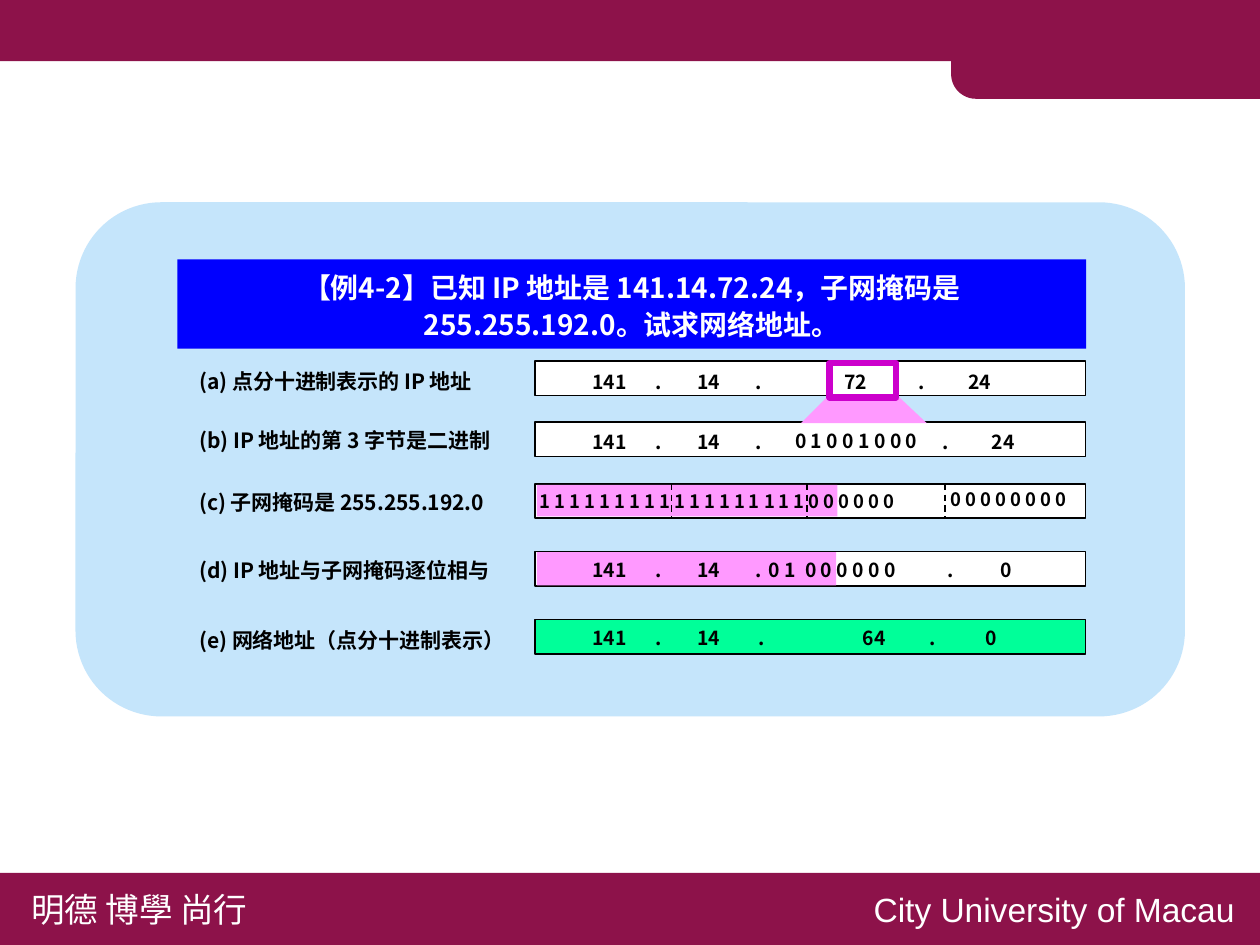
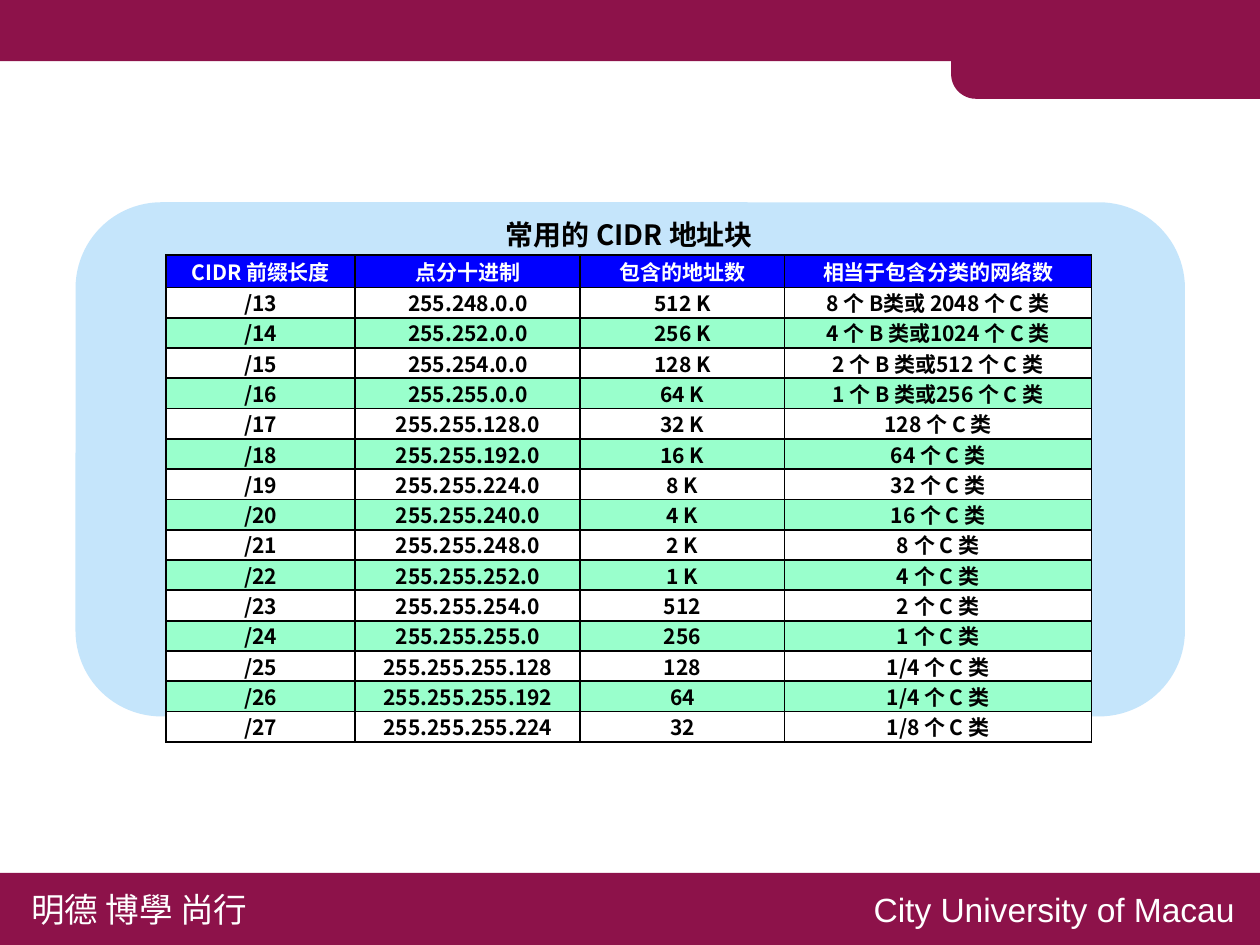
"""Build two slides on subnet masks and CIDR address blocks."""
from dataclasses import dataclass

from lxml.etree import SubElement
from pptx import Presentation
from pptx.dml.color import RGBColor
from pptx.enum.dml import MSO_LINE
from pptx.enum.shapes import MSO_CONNECTOR, MSO_SHAPE as SHAPE
from pptx.enum.text import MSO_ANCHOR as ANCHOR, MSO_AUTO_SIZE as AUTOSIZE, PP_ALIGN as ALIGN
from pptx.oxml.ns import qn
from pptx.util import Cm, Pt

COLORS = {
    "wine": "8D124A", "sky": "C5E5FB", "blue": "0000FF", "pink": "FF99FF",
    "green": "00FF99", "mint": "99FFCC", "violet": "CC00CC",
    "black": "000000", "white": "FFFFFF",
}
CJK = "Noto Sans CJK SC"
WIDTH, HEIGHT = 21.17, 15.88
BAR_X, BAR_W, BAR_H = 8.99, 9.25, 0.58
LABEL_X = 3.15
DOTS = (1.12, 1.96, 2.79)


@dataclass(frozen=True)
class Style:
    size: float
    color: str = "black"
    bold: bool = True
    font: str = CJK


@dataclass(frozen=True)
class Block:
    x: float
    y: float
    w: float
    h: float
    fill: str | None = None
    line: str | None = None
    weight: float = 0.75
    preset: SHAPE = SHAPE.RECTANGLE


@dataclass(frozen=True)
class Label:
    x: float
    y: float
    w: float
    text: str
    style: Style
    stops: tuple[float, ...] = ()
    inset: float = 0.2
    h: float = 0.64


LABEL = Style(10)
OCTET = Style(9.2)
BITS = Style(8.8)
FOOTER = Style(16, "white", False)
HEADING = Style(13.3)
BANNER = Style(13.3, "white")
HEAD_CELL = Style(10, "white")

BARS = [
    Block(BAR_X, y, BAR_W, BAR_H, fill, "black")
    for y, fill in ((6.07, "white"), (7.09, "white"), (8.13, "white"),
                    (9.27, "white"), (10.41, "green"))
]
MASKED = [Block(9.02, 8.15, 5.05, 0.53, "pink"), Block(9.02, 9.28, 5.03, 0.56, "pink")]
BYTE_FRAME = Block(13.94, 6.1, 1.12, BAR_H, line="violet", weight=3)
ZOOM = ((13.94, 6.63), (15.06, 6.63), (15.57, 7.11), (13.46, 7.11))
DIVIDERS = (11.28, 13.56, 15.88)

STEPS = [
    Label(LABEL_X, 6.1, 5.13, "(a) 点分十进制表示的 IP 地址", LABEL),
    Label(LABEL_X, 7.09, 5.46, "(b) IP 地址的第 3 字节是二进制", LABEL),
    Label(LABEL_X, 8.13, 5.28, "(c) 子网掩码是 255.255.192.0", LABEL),
    Label(LABEL_X, 9.27, 5.44, "(d) IP 地址与子网掩码逐位相与", LABEL),
    Label(LABEL_X, 10.44, 5.64, "(e) 网络地址（点分十进制表示）", LABEL),
]
OCTETS = [
    Label(9.7, 6.1, 3.96, "141\t.\t14\t.", OCTET, DOTS, 0.25),
    Label(13.67, 6.1, 3.96, "\t72\t.\t24", OCTET, (0.46, 1.57, 2.54), 0.25),
    Label(9.7, 7.11, 3.96, "141\t.\t14\t.", OCTET, DOTS, 0.25),
    Label(13.16, 7.11, 2.8, "0 1 0 0 1 0 0 0", OCTET),
    Label(15.54, 7.11, 2.08, "\t.\t24", OCTET, (0.1, 1.07), 0.25),
    Label(8.86, 8.13, 7.16, " ".join("1" * 18 + "0" * 6), BITS),
    Label(15.77, 8.1, 2.62, " ".join("0" * 8), BITS),
    Label(9.7, 9.25, 6.63, "141\t.\t14\t.\t0 1\t0 0 0 0 0 0", OCTET,
          (*DOTS, 3.2, 4.34), 0.25),
    Label(15.62, 9.25, 1.98, "\t.\t0", OCTET, (0.1, 1.04), 0.25),
    Label(9.7, 10.39, 4.06, "141\t.\t14\t.", OCTET, (1.12, 1.96, 2.84), 0.25),
    Label(14.25, 10.39, 3.35, "64\t.\t0", OCTET, (1.17, 2.16), 0.25),
]
FOOTERS = [
    Label(0.28, 14.81, 4.27, "明德 博學 尚行", FOOTER, inset=0.25, h=0.94),
    Label(14.43, 14.81, 6.65, "City University of Macau",
          Style(16, "white", False, "Arial"), inset=0.25, h=0.94),
]

COLUMNS = (3.18, 3.78, 3.43, 5.16)
HEADER = ("CIDR 前缀长度", "点分十进制", "包含的地址数", "相当于包含分类的网络数")
CIDR = [
    ("/13", "255.248.0.0", "512 K", "8 个 B类或 2048 个 C 类"),
    ("/14", "255.252.0.0", "256 K", "4 个 B 类或1024 个 C 类"),
    ("/15", "255.254.0.0", "128 K", "2 个 B 类或512 个 C 类"),
    ("/16", "255.255.0.0", "64 K", "1 个 B 类或256 个 C 类"),
    ("/17", "255.255.128.0", "32 K", "128 个 C 类"),
    ("/18", "255.255.192.0", "16 K", "64 个 C 类"),
    ("/19", "255.255.224.0", "8 K", "32 个 C 类"),
    ("/20", "255.255.240.0", "4 K", "16 个 C 类"),
    ("/21", "255.255.248.0", "2 K", "8 个 C 类"),
    ("/22", "255.255.252.0", "1 K", "4 个 C 类"),
    ("/23", "255.255.254.0", "512", "2 个 C 类"),
    ("/24", "255.255.255.0", "256", "1 个 C 类"),
    ("/25", "255.255.255.128", "128", "1/4 个 C 类"),
    ("/26", "255.255.255.192", "64", "1/4 个 C 类"),
    ("/27", "255.255.255.224", "32", "1/8 个 C 类"),
]


def rgb(name: str) -> RGBColor:
    return RGBColor.from_string(COLORS[name])


def add_run(p, text: str, style: Style) -> None:
    r = p.add_run()
    r.text = text
    r.font.size = Pt(style.size)
    r.font.bold = style.bold
    r.font.color.rgb = rgb(style.color)
    r.font.name = style.font
    SubElement(r.font._element, qn("a:ea")).set("typeface", style.font)


def paint(sp, fill: str | None, line: str | None = None, weight: float = 0.75) -> None:
    sp.shadow.inherit = False
    if fill:
        sp.fill.solid()
        sp.fill.fore_color.rgb = rgb(fill)
    else:
        sp.fill.background()
    if line:
        sp.line.color.rgb = rgb(line)
        sp.line.width = Pt(weight)
    else:
        sp.line.fill.background()


def add_block(s, b: Block):
    sp = s.shapes.add_shape(b.preset, Cm(b.x), Cm(b.y), Cm(b.w), Cm(b.h))
    paint(sp, b.fill, b.line, b.weight)
    return sp


def add_label(s, label: Label):
    sp = s.shapes.add_textbox(Cm(label.x), Cm(label.y), Cm(label.w), Cm(label.h))
    tf = sp.text_frame
    tf.word_wrap = True
    tf.margin_left = tf.margin_right = Cm(label.inset)
    tf.margin_top = tf.margin_bottom = Cm(label.inset / 2)
    p = tf.paragraphs[0]
    if label.stops:
        tabs = SubElement(p._p.get_or_add_pPr(), qn("a:tabLst"))
        for stop in label.stops:
            tab = SubElement(tabs, qn("a:tab"))
            tab.set("pos", str(Cm(stop)))
            tab.set("algn", "ctr")
    add_run(p, label.text, label.style)
    return sp


def add_divider(s, x: float) -> None:
    line = s.shapes.add_connector(MSO_CONNECTOR.STRAIGHT, Cm(x), Cm(8.13), Cm(x), Cm(8.69))
    line.line.color.rgb = rgb("black")
    line.line.width = Pt(0.75)
    line.line.dash_style = MSO_LINE.DASH
    SubElement(line._element.spPr, qn("a:effectLst"))


def decorate_master(prs, s) -> None:
    top = add_block(s, Block(0, 0, WIDTH, 1.03, "wine"))
    corner = add_block(s, Block(15.98, 0, 5.19, 1.66, "wine", preset=SHAPE.ROUND_1_RECTANGLE))
    corner.adjustments[0] = 0.25
    corner.rotation = 180
    bottom = add_block(s, Block(0, 14.67, WIDTH, HEIGHT - 14.67, "wine"))
    parts = [top, corner, bottom, *(add_label(s, footer) for footer in FOOTERS)]
    for number, sp in enumerate(parts, 100):
        sp.element.nvSpPr.cNvPr.set("id", str(number))
        prs.slide_master.shapes.element.append(sp.element)


def add_panel(s) -> None:
    panel = add_block(s, Block(1.27, 3.4, 18.64, 8.64, "sky", preset=SHAPE.ROUNDED_RECTANGLE))
    panel.adjustments[0] = 0.167
    s.shapes.element.insert(2, panel.element)


def set_title(s, b: Block, text: str, style: Style, spacing: float = 1.0) -> None:
    title = s.shapes.title
    title.left, title.top, title.width, title.height = Cm(b.x), Cm(b.y), Cm(b.w), Cm(b.h)
    if b.fill:
        title.fill.solid()
        title.fill.fore_color.rgb = rgb(b.fill)
    tf = title.text_frame
    tf.auto_size = AUTOSIZE.NONE
    tf.vertical_anchor = ANCHOR.TOP
    p = tf.paragraphs[0]
    p.alignment = ALIGN.CENTER
    p.line_spacing = spacing
    add_run(p, text, style)


def fill_cell(cell, text: str, style: Style, fill: str) -> None:
    cell.margin_left = cell.margin_right = Cm(0.15)
    cell.margin_top = cell.margin_bottom = 0
    cell.vertical_anchor = ANCHOR.MIDDLE
    tcPr = cell._tc.get_or_add_tcPr()
    for side in ("lnL", "lnR", "lnT", "lnB"):
        ln = SubElement(tcPr, qn(f"a:{side}"))
        ln.set("w", str(Pt(1)))
        SubElement(SubElement(ln, qn("a:solidFill")), qn("a:srgbClr")).set("val", COLORS["black"])
    cell.fill.solid()
    cell.fill.fore_color.rgb = rgb(fill)
    p = cell.text_frame.paragraphs[0]
    p.alignment = ALIGN.CENTER
    add_run(p, text, style)


def build_example(s) -> None:
    add_panel(s)
    for block in BARS + MASKED:
        add_block(s, block)
    start, *rest = [(Cm(x), Cm(y)) for x, y in ZOOM]
    builder = s.shapes.build_freeform(*start)
    builder.add_line_segments(rest)
    paint(builder.convert_to_shape(), "pink")
    for label in STEPS + OCTETS:
        add_label(s, label)
    for x in DIVIDERS:
        add_divider(s, x)
    add_block(s, BYTE_FRAME)
    set_title(s, Block(2.98, 4.36, 15.27, 1.5, "blue"),
              "【例4-2】已知 IP 地址是 141.14.72.24，子网掩码是 255.255.192.0。试求网络地址。",
              BANNER, 1.1)


def build_cidr(s) -> None:
    add_panel(s)
    set_title(s, Block(8.15, 3.53, 4.85, 0.84), "常用的 CIDR 地址块", HEADING)
    rows = [HEADER, *CIDR]
    frame = s.shapes.add_table(len(rows), len(COLUMNS), Cm(2.79), Cm(4.29),
                               Cm(sum(COLUMNS)), Cm(7.44))
    table = frame.table
    table.horz_banding = False
    for column, width in zip(table.columns, COLUMNS):
        column.width = Cm(width)
    for i, texts in enumerate(rows):
        table.rows[i].height = Cm(0.46 if i else 0.54)
        fill = ("white" if i % 2 else "mint") if i else "blue"
        for j, text in enumerate(texts):
            fill_cell(table.cell(i, j), text, LABEL if i else HEAD_CELL, fill)


def main() -> None:
    prs = Presentation()
    prs.slide_width, prs.slide_height = Cm(WIDTH), Cm(HEIGHT)
    example, cidr = (prs.slides.add_slide(prs.slide_layouts[5]) for _ in range(2))
    decorate_master(prs, example)
    build_example(example)
    build_cidr(cidr)
    prs.save("out.pptx")


if __name__ == "__main__":
    main()
